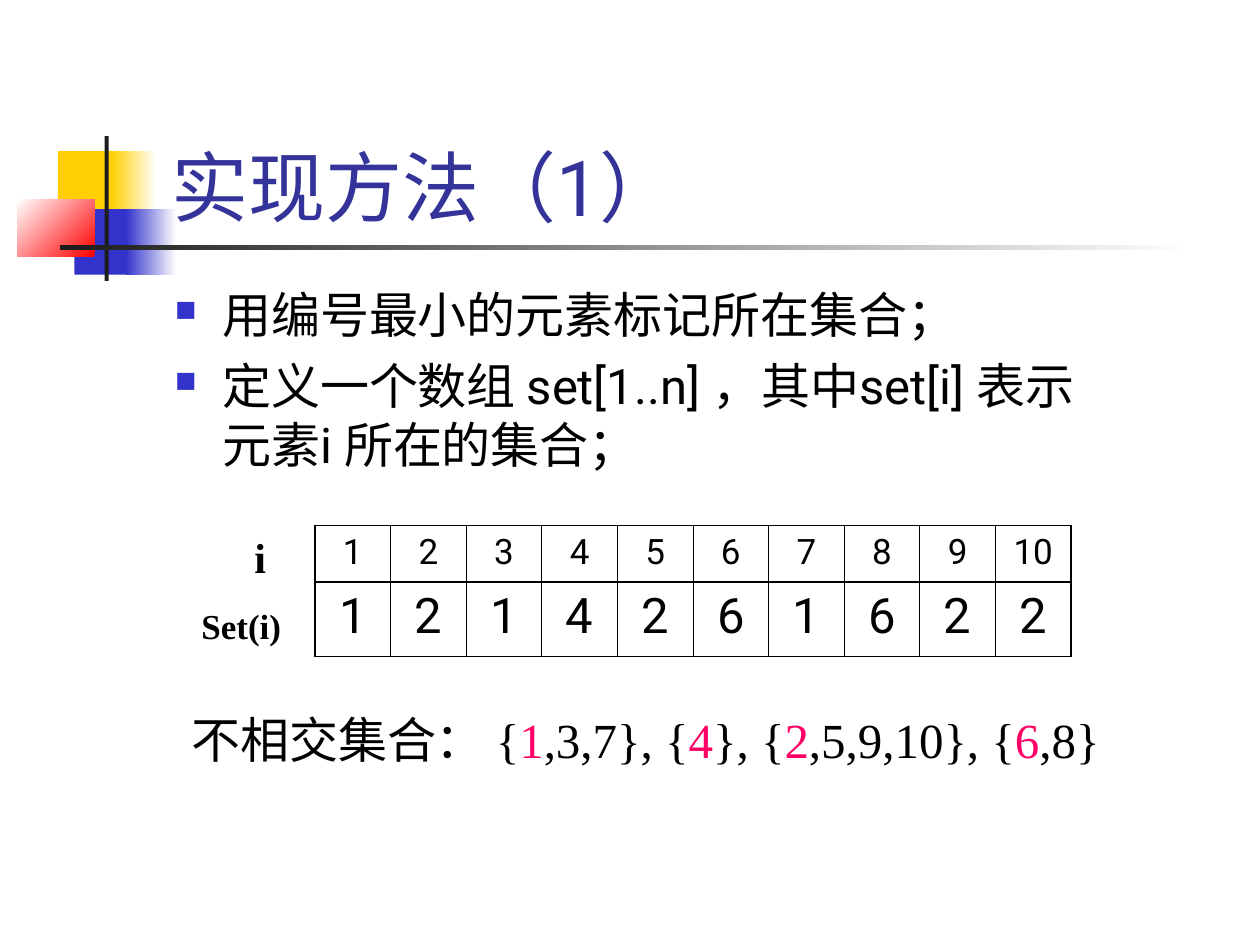
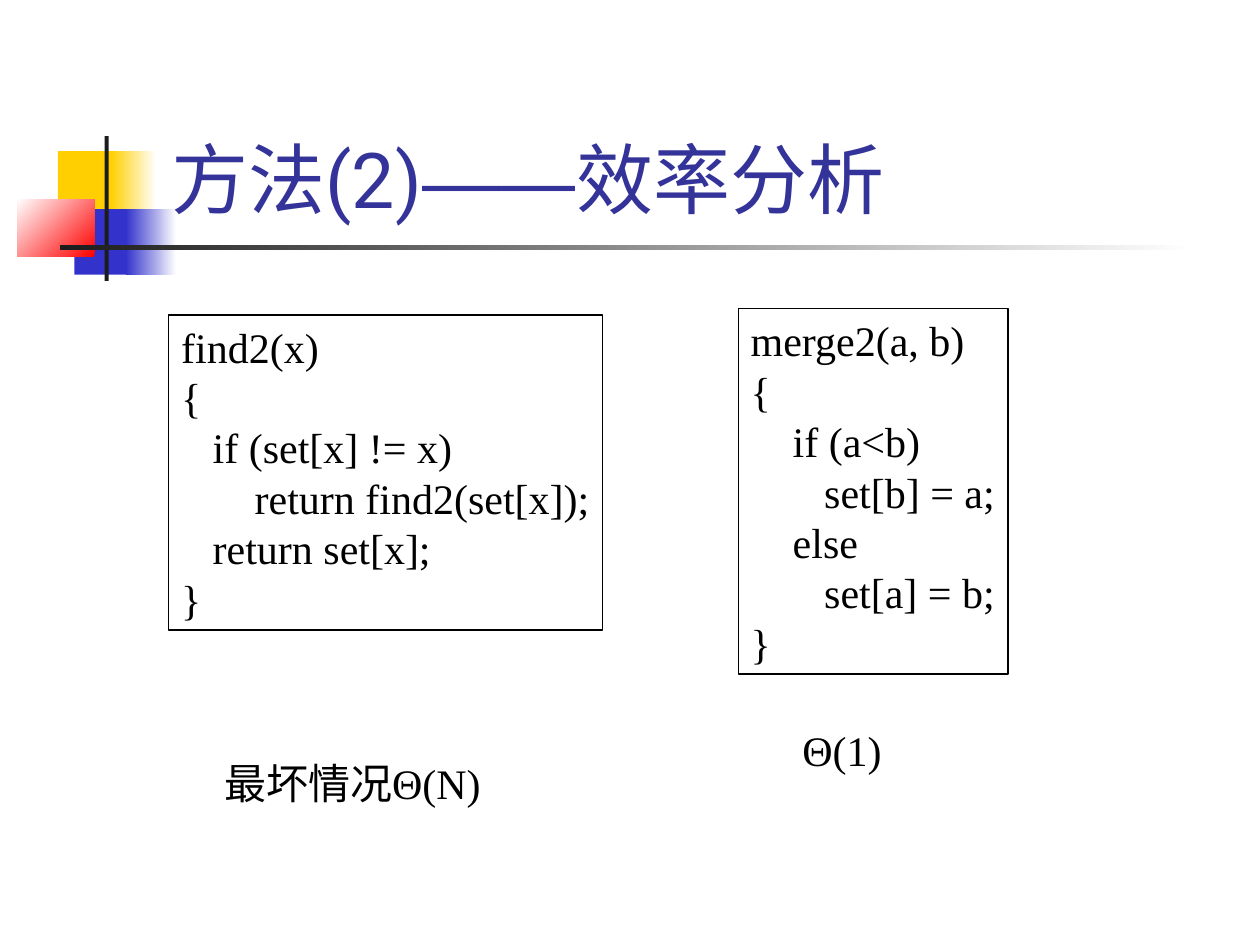
from lxml.etree import SubElement as Sub
from pptx import Presentation
from pptx.dml.color import RGBColor as RGB
from pptx.enum.shapes import MSO_SHAPE as Kind
from pptx.enum.text import MSO_ANCHOR as Anchor, MSO_AUTO_SIZE as Auto, PP_ALIGN as Align
from pptx.oxml.ns import qn
from pptx.util import Pt

HUES = {
    "gold": "FFCF01", "blue": "3333CC", "red": "FF0000", "ink": "1C1C1C",
    "navy": "333399", "pink": "FF0066", "black": "000000", "white": "FFFFFF",
}
SANS, SERIF, DASH = "Roboto", "Times New Roman", "Arial"
SPACE = 6  # width of one code space at 24 pt

# Shared ornament: box, start colour, end colour (None if plain), angle
DECOR = [
    ((33.12, 86.4, 34.56, 37.44), "gold", None, 0),
    ((63.36, 86.4, 25.92, 37.44), "white", "gold", 180),
    ((42.48, 119.52, 33.12, 37.44), "blue", None, 0),
    ((72, 119.52, 28.8, 37.44), "white", "blue", 180),
    ((10.08, 113.76, 43.92, 33.12), "red", "white", 135),
    ((59.76, 77.76, 2.4, 82.8), "ink", None, 0),
    ((34.56, 140.2, 648, 2.4), "white", "ink", 180),
]


def rgb(hue):
    return RGB.from_string(HUES[hue])


def pts(box):
    return [Pt(n) for n in box]


class Deck:
    def __init__(self):
        self.prs = Presentation()
        self.prs.slide_width, self.prs.slide_height = Pt(720), Pt(540)
        self.slide = None

    def page(self, parts, box):
        """Start a slide with the ornament and its title."""
        self.slide = self.prs.slides.add_slide(self.prs.slide_layouts[5])
        for spot, start, end, angle in DECOR:
            self.rect(spot, start, end, angle)
        title = self.slide.shapes.title
        title.left, title.top, title.width, title.height = pts(box)
        self.slide.shapes._spTree.append(title._element)
        frame = title.text_frame
        frame.auto_size, frame.vertical_anchor = Auto.NONE, Anchor.BOTTOM
        self.para(frame.paragraphs[0], parts, 44, SANS, "navy", odd_face=DASH)

    def rect(self, box, start=None, end=None, angle=0):
        shape = self.slide.shapes.add_shape(Kind.RECTANGLE, *pts(box))
        shape.shadow.inherit = False
        shape.line.fill.background()
        if end:
            shape.fill.gradient()
            shape.fill.gradient_angle = angle
            for stop, hue in zip(shape.fill.gradient_stops, (start, end)):
                stop.color.rgb = rgb(hue)
        elif start:
            shape.fill.solid()
            shape.fill.fore_color.rgb = rgb(start)
        else:
            shape.fill.background()
        return shape

    def para(self, par, parts, size, face=SERIF, hue="black", bold=False,
             align=Align.LEFT, before=0, odd_hue=None, odd_face=None):
        """Fill a paragraph; every second part may differ in hue or face."""
        par.alignment, par.space_before = align, Pt(before)
        font = par.font
        font.size, font.name, font.bold = Pt(size), face, bold
        font.color.rgb = rgb(hue)
        for i, part in enumerate(parts):
            run = par.add_run()
            run.text = part
            if i % 2 and odd_hue:
                run.font.color.rgb = rgb(odd_hue)
            if i % 2 and odd_face:
                run.font.name = odd_face

    def text(self, box, parts, size, wrap=True, anchor=Anchor.TOP, **style):
        frame = self.slide.shapes.add_textbox(*pts(box)).text_frame
        frame.word_wrap, frame.vertical_anchor = wrap, anchor
        self.para(frame.paragraphs[0], parts, size, **style)

    def list(self, box, items):
        frame = self.slide.shapes.add_textbox(*pts(box)).text_frame
        frame.word_wrap = True
        for i, item in enumerate(items):
            par = frame.add_paragraph() if i else frame.paragraphs[0]
            props = par._p.get_or_add_pPr()
            props.set("marL", str(Pt(27)))
            props.set("indent", str(Pt(-27)))
            Sub(Sub(props, qn("a:buClr")), qn("a:srgbClr"), val=HUES["blue"])
            Sub(props, qn("a:buSzPct"), val="60000")
            Sub(props, qn("a:buChar"), char="■")
            self.para(par, [item], 28, SANS, before=7)

    def code(self, box, lines):
        """Draw a framed listing; each line is (indent in spaces, text)."""
        shape = self.rect(box)
        shape.line.color.rgb, shape.line.width = rgb("black"), Pt(0.75)
        frame = shape.text_frame
        frame.word_wrap, frame.vertical_anchor = False, Anchor.TOP
        for i, (depth, line) in enumerate(lines):
            par = frame.add_paragraph() if i else frame.paragraphs[0]
            par._p.get_or_add_pPr().set("marL", str(Pt(depth * SPACE)))
            self.para(par, [line], 24)

    def table(self, box, rows, highs, sizes, gaps):
        count = len(rows[0])
        table = self.slide.shapes.add_table(len(rows), count, *pts(box)).table
        table.first_row = table.horz_banding = False
        for r, row in enumerate(rows):
            table.rows[r].height = Pt(highs[r])
            for c, value in enumerate(row):
                cell = table.cell(r, c)
                cell.fill.background()
                self.edges(cell, c == 0, c == count - 1)
                self.para(cell.text_frame.paragraphs[0], [value], sizes[r],
                          SANS, align=Align.CENTER, before=gaps[r])

    def edges(self, cell, first, last):
        thin, thick = 0.45, 1.08
        widths = {"lnL": thick if first else thin, "lnR": thick if last else thin,
                  "lnT": thick, "lnB": thick}
        props = cell._tc.get_or_add_tcPr()
        for i, (tag, width) in enumerate(widths.items()):
            line = Sub(props, qn("a:" + tag), w=str(Pt(width)))
            Sub(Sub(line, qn("a:solidFill")), qn("a:srgbClr"), val=HUES["black"])
            props.insert(i, line)


def main():
    deck = Deck()

    # Slide 1: sets marked by their smallest element
    deck.page(["实现方法（1）"], (90.72, 16.56, 622.08, 119.52))
    deck.list((92.88, 159.12, 550.8, 128.16), [
        "用编号最小的元素标记所在集合；",
        "定义一个数组 set[1..n] ，其中set[i] 表示元素i 所在的集合；",
    ])
    index = [str(n) for n in range(1, 11)]
    deck.table((180, 300.24, 432, 74.88), [index, "1214261622"],
               highs=(32.4, 42.48), sizes=(20, 28), gaps=(5, 7))
    deck.text((138.24, 300.24, 20.88, 36), ["i"], 24, wrap=False, bold=True)
    deck.text((108, 342, 66.24, 31.68), ["Set(i)"], 20, bold=True)
    deck.text((102.24, 401.76, 545.76, 41.04),
              ["不相交集合： {", "1", ",3,7}, {", "4", "}, {", "2",
               ",5,9,10}, {", "6", ",8}"], 28, odd_hue="pink")

    # Slide 2: code and cost of the second method
    deck.page(["方法(2)", "——", "效率分析"], (90.72, 16.56, 613.44, 115.2))
    deck.code((96.48, 180, 247.68, 180), [
        (0, "find2(x)"),
        (0, "{"),
        (3, "if (set[x] != x)"),
        (7, "return find2(set[x]);"),
        (3, "return set[x];"),
        (0, "}"),
    ])
    deck.code((421.92, 176.4, 154.08, 208.8), [
        (0, "merge2(a, b)"),
        (0, "{"),
        (4, "if (a<b)"),
        (7, "set[b] = a;"),
        (4, "else"),
        (7, "set[a] = b;"),
        (0, "}"),
    ])
    deck.text((451.44, 410.4, 59.76, 36), ["Θ(1)"], 24, wrap=False)
    deck.text((120.96, 429.12, 167.04, 36), ["最坏情况Θ(N)"], 24,
              anchor=Anchor.MIDDLE)

    deck.prs.save("out.pptx")


if __name__ == "__main__":
    main()
